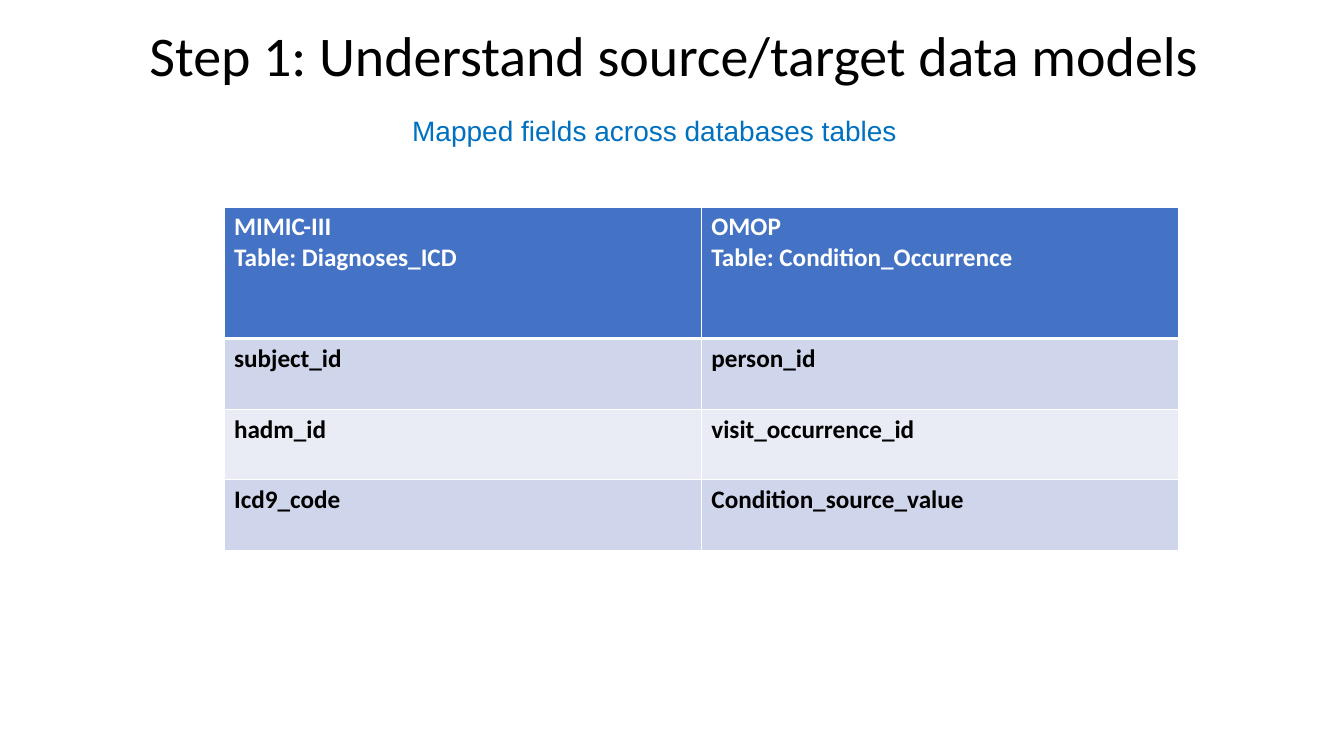
from pptx import Presentation
from pptx.dml.color import RGBColor
from pptx.enum.text import MSO_ANCHOR as Anchor, PP_ALIGN as Align
from pptx.oxml import parse_xml
from pptx.oxml.ns import nsdecls
from pptx.util import Pt

COLORS = {
    "title": "000000",
    "subtitle": "0070C0",
    "header": "4472C4",
    "header_text": "FFFFFF",
    "odd_row": "CFD5EA",
    "even_row": "E9EBF5",
    "body_text": "000000",
    "border": "FFFFFF",
}

FIELD_MAPPING = [
    ("MIMIC-III\nTable: Diagnoses_ICD", "OMOP\nTable: Condition_Occurrence"),
    ("subject_id", "person_id"),
    ("hadm_id", "visit_occurrence_id"),
    ("Icd9_code", "Condition_source_value"),
]


class SlideBuilder:
    def __init__(self, slide, colors):
        self.slide = slide
        self.colors = colors

    def color(self, name):
        return RGBColor.from_string(self.colors[name])

    def style(self, paragraph, font_name, size, color, bold=False):
        font = paragraph.font
        font.name, font.size, font.bold = font_name, Pt(size), bold
        font.color.rgb = self.color(color)

    def heading(self, text, box, font_name, size, color, indent=0, spacing=1.0):
        """Add one centred line; indent narrows the box from the left."""
        frame = self.slide.shapes.add_textbox(*map(Pt, box)).text_frame
        frame.word_wrap = True
        frame.vertical_anchor = Anchor.MIDDLE
        frame.margin_left = Pt(indent)
        frame.margin_right = frame.margin_top = frame.margin_bottom = 0
        line = frame.paragraphs[0]
        line.text = text
        line.alignment = Align.CENTER
        line.line_spacing = spacing
        self.style(line, font_name, size, color)

    def borders(self, cell, top, bottom):
        """Draw the four cell edges; widths are in points."""
        properties = cell._tc.get_or_add_tcPr()
        widths = {"lnL": 1, "lnR": 1, "lnT": top, "lnB": bottom}
        for position, (edge, width) in enumerate(widths.items()):
            properties.insert(position, parse_xml(
                f'<a:{edge} {nsdecls("a")} w="{Pt(width)}"><a:solidFill>'
                f'<a:srgbClr val="{self.colors["border"]}"/>'
                f'</a:solidFill></a:{edge}>'))

    def table(self, rows, left, top, column_width, header_height, row_height):
        heights = [header_height] + [row_height] * (len(rows) - 1)
        columns = len(rows[0])
        table = self.slide.shapes.add_table(
            len(rows), columns, Pt(left), Pt(top),
            Pt(column_width * columns), Pt(sum(heights))).table
        for column in table.columns:
            column.width = Pt(column_width)
        for index, (texts, height) in enumerate(zip(rows, heights)):
            table.rows[index].height = Pt(height)
            if index == 0:
                fill, text_color = "header", "header_text"
            else:
                fill = "odd_row" if index % 2 else "even_row"
                text_color = "body_text"
            for cell, text in zip(table.rows[index].cells, texts):
                cell.text = text
                cell.fill.solid()
                cell.fill.fore_color.rgb = self.color(fill)
                self.borders(cell, top=3 if index == 1 else 1,
                             bottom=3 if index == 0 else 1)
                for line in cell.text_frame.paragraphs:
                    self.style(line, "Calibri", 18, text_color, bold=True)


def main():
    deck = Presentation()
    deck.slide_width, deck.slide_height = Pt(960), Pt(540)
    builder = SlideBuilder(deck.slides.add_slide(deck.slide_layouts[6]), COLORS)
    builder.heading("Step 1: Understand source/target data models",
                    (18, 8, 926.6, 67.6), "Calibri", 40, "title", spacing=0.9)
    builder.heading("Mapped fields across databases tables",
                    (102.2, 55.5, 714.2, 75), "Arial", 20, "subtitle", indent=16.6)
    builder.table(FIELD_MAPPING, left=160, top=147.8, column_width=341,
                  header_height=94, row_height=50.5)
    deck.save("out.pptx")


if __name__ == "__main__":
    main()
